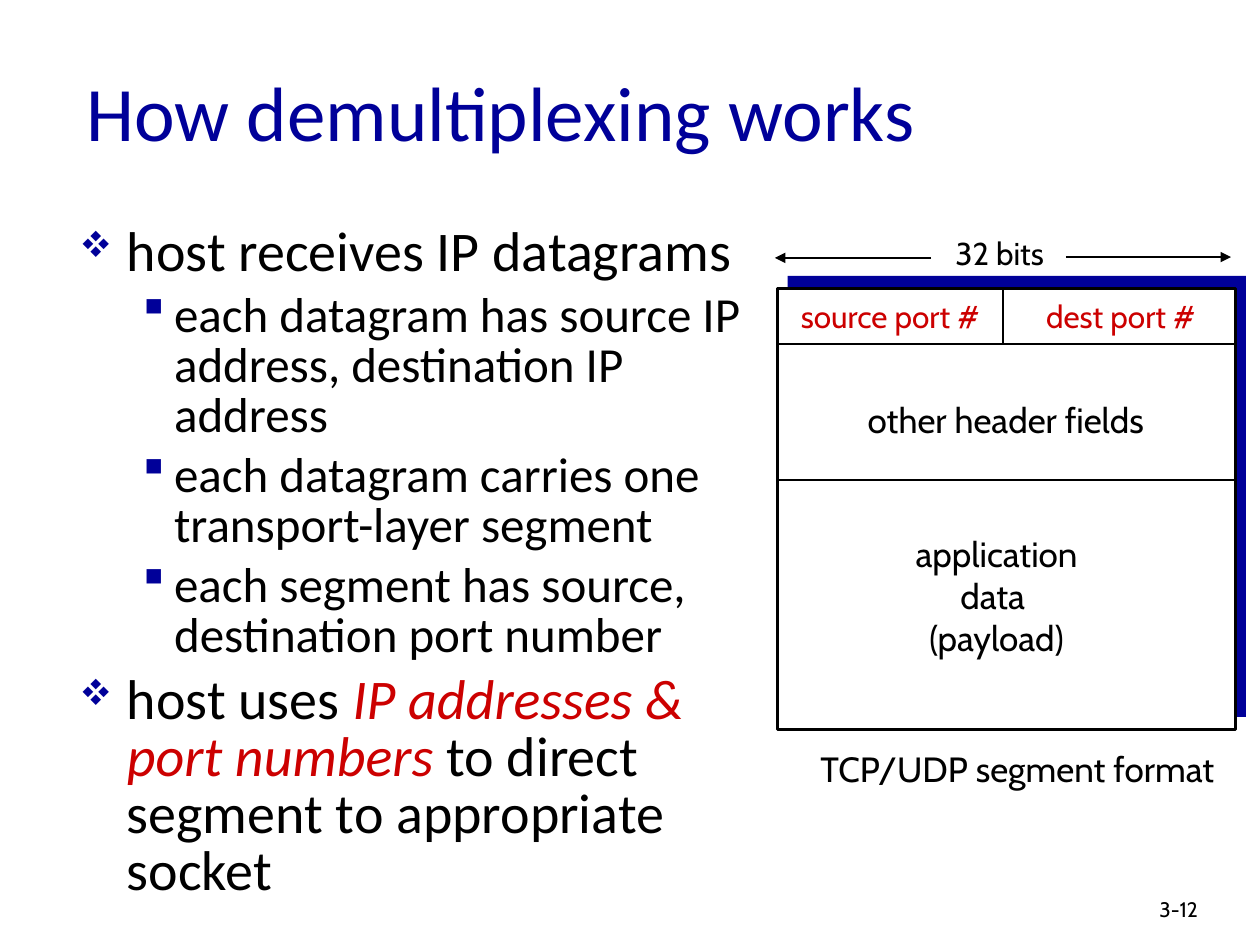
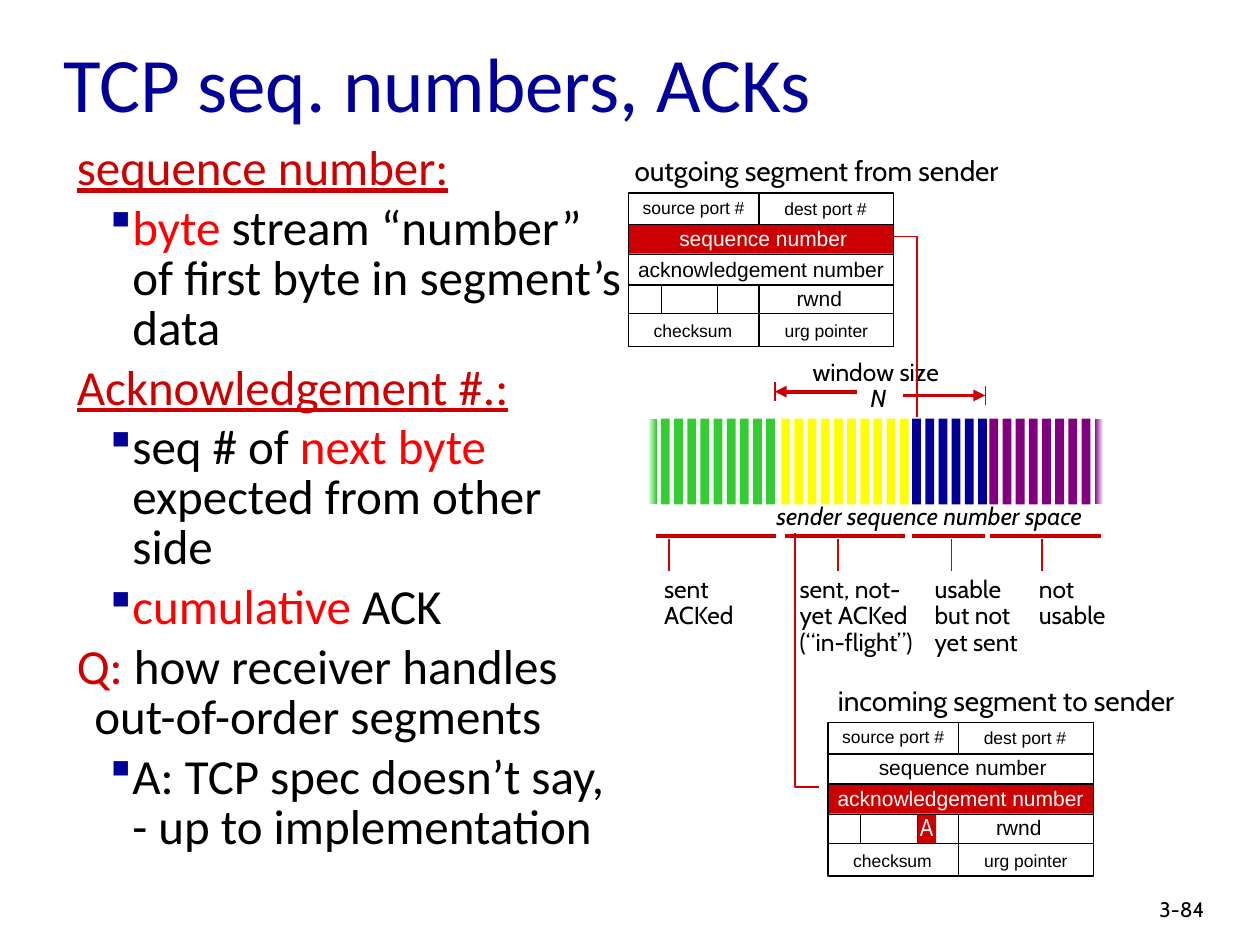
from lxml import etree
from pptx import Presentation
from pptx.dml.color import RGBColor
from pptx.enum.shapes import MSO_CONNECTOR, MSO_SHAPE
from pptx.enum.text import MSO_ANCHOR, PP_ALIGN
from pptx.oxml.ns import qn
from pptx.util import Pt

STRAIGHT = MSO_CONNECTOR.STRAIGHT
RECT = MSO_SHAPE.RECTANGLE
LEFT, CENTER = PP_ALIGN.LEFT, PP_ALIGN.CENTER
TOP, MIDDLE = MSO_ANCHOR.TOP, MSO_ANCHOR.MIDDLE

NAVY = RGBColor(0x00, 0x00, 0x99)
CRIMSON = RGBColor(0xCC, 0x00, 0x00)
RED = RGBColor(0xFF, 0x00, 0x00)
BLACK = RGBColor(0x00, 0x00, 0x00)
WHITE = RGBColor(0xFF, 0xFF, 0xFF)
GREEN = RGBColor(0x33, 0xCC, 0x33)
YELLOW = RGBColor(0xFF, 0xFF, 0x00)
PURPLE = RGBColor(0x80, 0x00, 0x80)

SANS, LABEL, ARIAL, NARROW = "Calibri", "Cabin", "Arial", "Arial Narrow"
SYMBOL, DIAMOND, SQUARE = "Wingdings", "v", "§"


class Deck:
    def __init__(self):
        self.prs = Presentation()
        self.prs.slide_width, self.prs.slide_height = Pt(720), Pt(540)

    def page(self, title, box, number):
        self.shapes = self.prs.slides.add_slide(self.prs.slide_layouts[6]).shapes
        self.text(box, [title], 44, SANS, NAVY, LEFT, anchor=MIDDLE)
        self.text((655.5, 509, 53.3, 21.6), [number], 12, align=LEFT)

    def frame(self, box, wrap=True, anchor=TOP):
        frame = self.shapes.add_textbox(*map(Pt, box)).text_frame
        frame.word_wrap = wrap
        frame.vertical_anchor = anchor
        return frame

    def lines(self, frame, count):
        return [frame.paragraphs[0]] + [frame.add_paragraph() for _ in range(count - 1)]

    def style(self, font, size, face, color):
        font.size, font.name = Pt(size), face
        font.color.rgb = color

    def text(self, box, rows, size, face=LABEL, color=BLACK, align=CENTER,
             wrap=True, anchor=TOP, space=None, slant=()):
        frame = self.frame(box, wrap, anchor)
        for par, row in zip(self.lines(frame, len(rows)), rows):
            par.text, par.alignment = row, align
            if space:
                par.line_spacing = space
            self.style(par.font, size, face, color)
            if row in slant:
                par.font.italic = True

    def body(self, box, items, kinds):
        frame = self.frame(box)
        pars = self.lines(frame, len(items))
        for par, (kind, runs) in zip(pars, items):
            size, margin, indent, mark, scale = kinds[kind]
            par.line_spacing = 0.85
            if par is not pars[0]:
                par.space_before = Pt(size * 0.2)
            props = par._p.get_or_add_pPr()
            props.set("marL", str(Pt(margin)))
            props.set("indent", str(Pt(indent)))
            if mark:
                tint = etree.SubElement(props, qn("a:buClr"))
                etree.SubElement(tint, qn("a:srgbClr"), val=str(NAVY))
                etree.SubElement(props, qn("a:buSzPct"), val=str(scale * 1000))
                etree.SubElement(props, qn("a:buFont"), typeface=SYMBOL, charset="2")
                etree.SubElement(props, qn("a:buChar"), char=mark)
            self.style(par.font, size, SANS, BLACK)
            for words, color, look in runs:
                run = par.add_run()
                run.text = words
                if color != BLACK:
                    run.font.color.rgb = color
                if look == "i":
                    run.font.italic = True
                if look == "u":
                    run.font.underline = True

    def rect(self, box, fill=None, line=None, width=0.75, fade=None):
        shape = self.shapes.add_shape(RECT, *map(Pt, box))
        shape.shadow.inherit = False
        if fade:
            shape.fill.gradient()
            shape.fill.gradient_angle = 0
            for stop, color in zip(shape.fill.gradient_stops, fade):
                stop.color.rgb = color
        elif fill is not None:
            shape.fill.solid()
            shape.fill.fore_color.rgb = fill
        else:
            shape.fill.background()
        self.stroke(shape, line, width)

    def stroke(self, shape, color, width):
        if color is None:
            shape.line.fill.background()
        else:
            shape.line.color.rgb = color
            shape.line.width = Pt(width)

    def line(self, x1, y1, x2, y2, color=BLACK, width=0.75, arrow=False):
        link = self.shapes.add_connector(STRAIGHT, Pt(x1), Pt(y1), Pt(x2), Pt(y2))
        self.stroke(link, color, width)
        if arrow:
            etree.SubElement(link.line._get_or_add_ln(), qn("a:tailEnd"), type="triangle")
        etree.SubElement(link._element.spPr, qn("a:effectLst"))

    def bend(self, *points):
        spots = [(Pt(x), Pt(y)) for x, y in points]
        pen = self.shapes.build_freeform(*spots[0])
        pen.add_line_segments(spots[1:], close=False)
        shape = pen.convert_to_shape()
        shape.shadow.inherit = False
        shape.fill.background()
        self.stroke(shape, CRIMSON, 0.75)

    def header(self, x, y, title, shift, span, lit):
        wide, mid = 151.5, 74.5
        rows = (18, 35.3, 52.6, 69.1, 87.8)
        self.rect((x, y + rows[lit], wide, 16.8), CRIMSON)
        self.rect((x, y, wide, rows[-1]), line=BLACK)
        for row in rows[:-1]:
            self.line(x, y + row, x + wide, y + row)
        for left, top, low in ((mid, 0, rows[0]), (mid, rows[2], rows[4]),
                               (18.7, rows[2], rows[3]), (51, rows[2], rows[3])):
            self.line(x + left, y + top, x + left, y + low)
        inks = [WHITE if lit == i else BLACK for i in range(2)]
        for words, left, top, width, size, ink in (
                ("source port #", -3.4, -1.2, 81, 10, BLACK),
                ("dest port #", 77.5, -0.7, 70, 10, BLACK),
                ("sequence number", 20, 15, 114, 12, inks[0]),
                ("acknowledgement number", -2.2, 32.8, 156, 12, inks[1]),
                ("rwnd", 84, 49.3, 50, 12, BLACK),
                ("checksum", 2.3, 69.1, 69, 10, BLACK),
                ("urg pointer", 78, 69.1, 70, 10, BLACK)):
            self.text((x + left, y + top, width, 21), [words], size, ARIAL, ink, wrap=False)
        self.text((x + shift, y - 26, span, 26.6), [title], 16, wrap=False)


def demux(deck):
    deck.page("How demultiplexing works", (42.2, 18, 612, 90), "3-12")
    kinds = {"main": (32, 27, -27, DIAMOND, 65), "sub": (28, 54, -18, SQUARE, 100)}
    deck.body((38.4, 125.4, 399.6, 219.6), [
        ("main", [("host receives IP datagrams", BLACK, "")]),
        ("sub", [("each datagram has source IP address, destination IP address", BLACK, "")]),
        ("sub", [("each datagram carries one transport-layer segment", BLACK, "")]),
        ("sub", [("each segment has source, destination port number", BLACK, "")]),
        ("main", [("host uses ", BLACK, ""),
                  ("IP addresses & port numbers", CRIMSON, "i"),
                  (" to direct segment to appropriate socket", BLACK, "")])], kinds)
    left, top, wide, tall = 444.2, 165, 262, 252
    deck.rect((450, 157.7, wide, tall), NAVY)
    deck.rect((left, top, wide, tall), WHITE, BLACK, 1.5)
    for y in (196.5, 274.3):
        deck.line(left, y, left + wide, y, width=1.5)
    deck.line(573.1, 196.5, 573.1, top, width=1.5)
    deck.line(609.1, 146.9, 703.4, 146.9, width=1.5, arrow=True)
    deck.line(532.1, 147.4, 442.8, 147.4, width=1.5, arrow=True)
    for box, rows, size, ink in (
            ((447.1, 166.3, 123.1, 29), ["source port #"], 18, CRIMSON),
            ((588.2, 166.3, 104.4, 29), ["dest port #"], 18, CRIMSON),
            ((537.4, 130.3, 67.7, 29), ["32 bits"], 18, BLACK),
            ((514.8, 300.5, 109.4, 79), ["application", "data ", "(payload)"], 20, BLACK),
            ((484.4, 224.3, 180.7, 31), ["other header fields"], 20, BLACK),
            ((460.8, 423.4, 241.2, 31), ["TCP/UDP segment format"], 20, BLACK)):
        deck.text(box, rows, size, color=ink, wrap=False)


def bars(deck):
    groups = ((370.2, 10, GREEN), (446.5, 10, YELLOW), (521.3, 6, NAVY), (565.4, 9, PURPLE))
    spots = [(start + 7.52 * i, color) for start, count, color in groups for i in range(count)]
    fades = {0: (WHITE, GREEN), len(spots) - 1: (PURPLE, WHITE)}
    for i, (x, color) in enumerate(spots):
        deck.rect((x, 239.2, 5.04, 49), color, fade=fades.get(i))
    for x, y in ((366.5, 297.4), (373, 230.4)):
        deck.rect((x, y, 268.6, 7.2), WHITE)
    for start, end, tick, left, width, rows in (
            (375.1, 443.5, 382.3, 372.4, 54.7, ["sent", "ACKed"]),
            (448.6, 517, 478.8, 449.8, 84.2, ["sent, not-yet ACKed", "(“in-flight”)"]),
            (521.3, 563, 543.6, 527, 84.2, ["usable", "but not", "yet sent"]),
            (565.9, 629.3, 595.4, 586.6, 64.8, ["not", "usable"])):
        deck.line(start, 306.5, end, 306.5, CRIMSON, 2.25)
        deck.line(tick, 308.2, tick, 326.5, CRIMSON)
        deck.text((left, 326.2, width, 52), rows, 14, align=LEFT, space=0.9)
    deck.text((455.8, 202.3, 89.3, 37.4), ["window size", " N"], 14,
              wrap=False, space=0.9, slant=(" N",))
    for start, end, y in ((516.2, 563, 226), (489.6, 442.8, 223.8)):
        deck.line(start, y, end, y, CRIMSON, 2.25, True)
        deck.line(end, y - 5.4, end, y + 5.4, CRIMSON)
    space = "sender sequence number space"
    deck.text((424, 283, 214.2, 23.8), [space], 14, wrap=False, slant=(space,))


def numbers(deck):
    deck.page("TCP seq. numbers, ACKs", (29.1, 11.8, 612, 69.8), "3-84")
    kinds = {"main": (28, 18.7, -10, None, 100), "sub": (28, 40.5, -13, SQUARE, 100)}
    deck.body((28.1, 79.6, 334.8, 365.8), [
        ("main", [("sequence number:", CRIMSON, "u")]),
        ("sub", [("byte", RED, ""),
                 (" stream “number” of first byte in segment’s data", BLACK, "")]),
        ("main", [("Acknowledgement #.:", CRIMSON, "u")]),
        ("sub", [("seq # of ", BLACK, ""), ("next byte ", RED, ""),
                 ("expected from other side", BLACK, "")]),
        ("sub", [("cumulative", RED, ""), (" ACK", BLACK, "")]),
        ("main", [("Q:", CRIMSON, ""),
                  (" how receiver handles out-of-order segments", BLACK, "")]),
        ("sub", [("A: TCP spec doesn’t say, - up to implementation", BLACK, "")])], kinds)
    deck.header(473.2, 412.8, "incoming segment to sender", -5.9, 215.3, 1)
    deck.bend((467.8, 449.8), (454.3, 449.8), (454.3, 300.2))
    deck.rect((524.2, 465.6, 10.8, 16.4), CRIMSON)
    deck.text((515.5, 460.6, 28, 23.8), ["A"], 14, NARROW, WHITE)
    bars(deck)
    deck.header(359.2, 110.2, "outgoing segment from sender", -8.8, 232.6, 0)
    deck.bend((510.5, 135.2), (524, 135.2), (524, 238.3))


def main():
    deck = Deck()
    demux(deck)
    numbers(deck)
    deck.prs.save("out.pptx")


if __name__ == "__main__":
    main()
